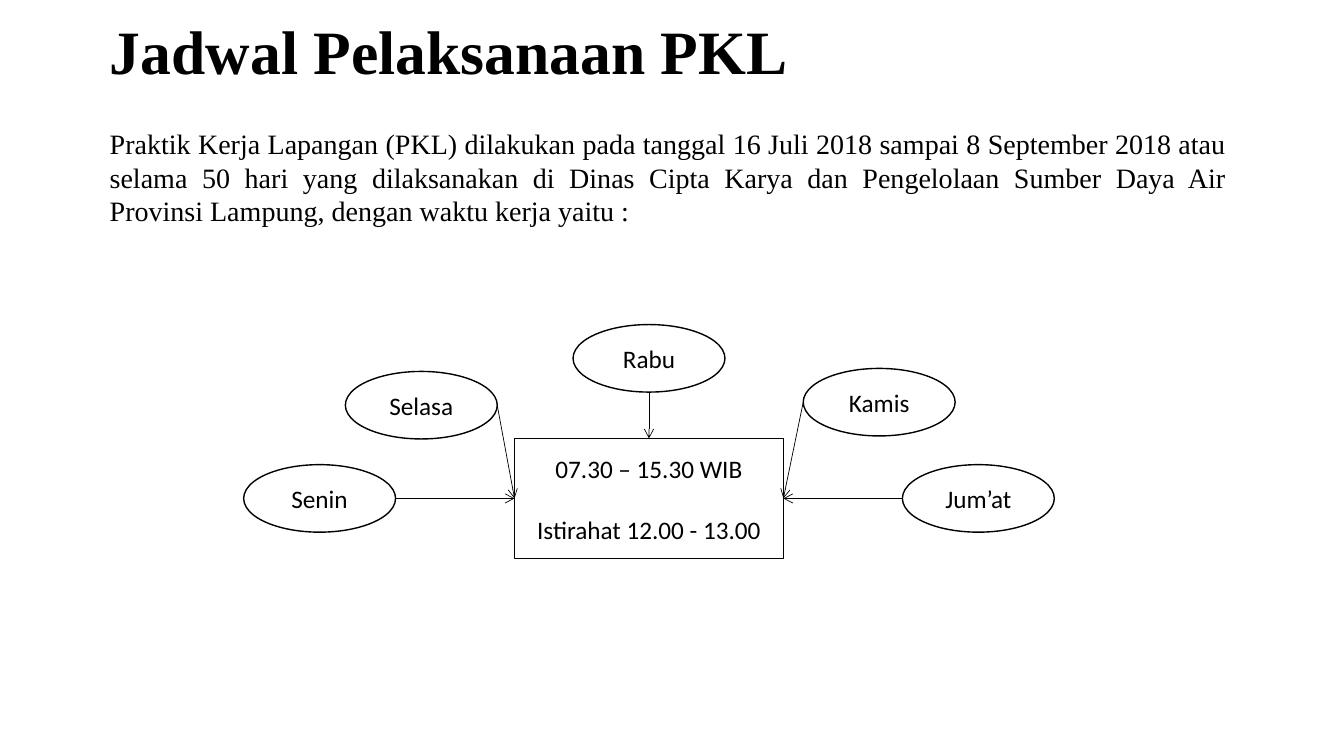
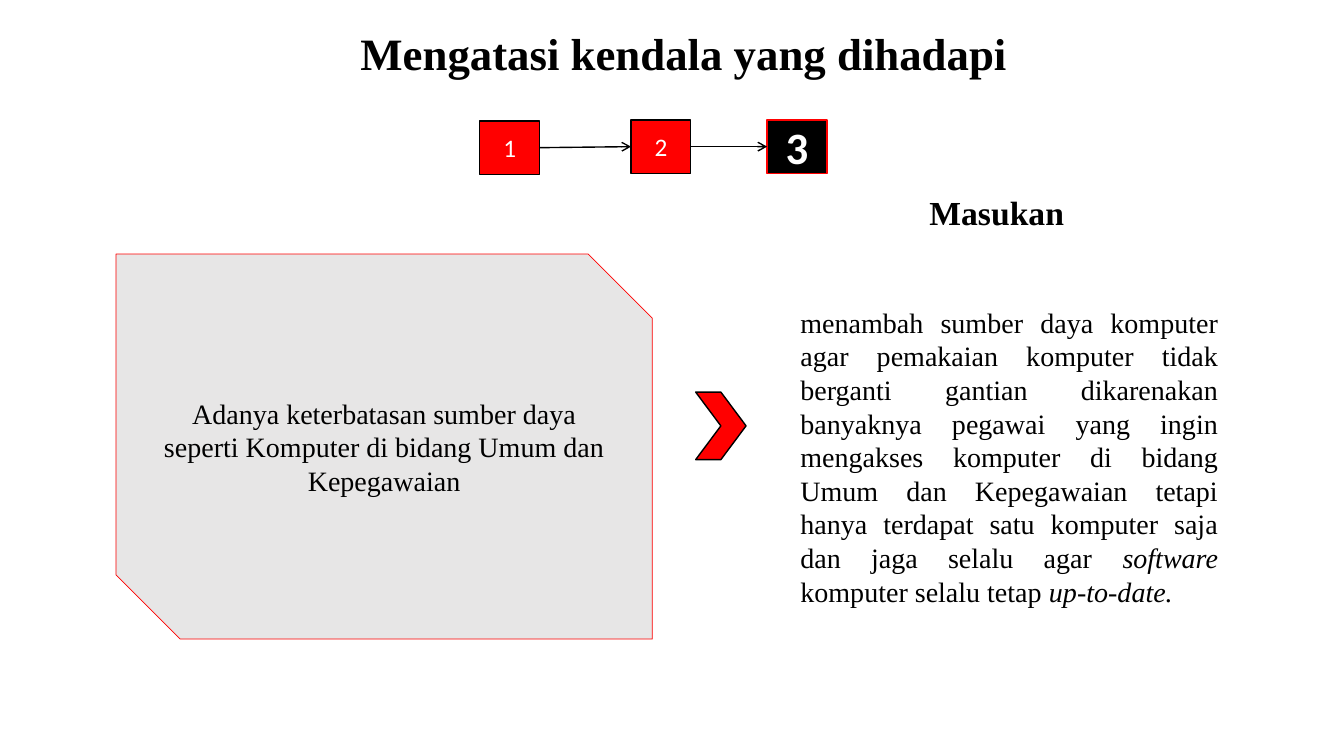
from lxml import etree
from pptx import Presentation
from pptx.dml.color import RGBColor
from pptx.enum.shapes import MSO_CONNECTOR, MSO_SHAPE
from pptx.enum.text import MSO_ANCHOR, MSO_AUTO_SIZE, PP_ALIGN
from pptx.oxml.ns import qn
from pptx.util import Inches, Pt

LEFT, CENTER, JUSTIFY = PP_ALIGN.LEFT, PP_ALIGN.CENTER, PP_ALIGN.JUSTIFY
TOP, MIDDLE, BOTTOM = MSO_ANCHOR.TOP, MSO_ANCHOR.MIDDLE, MSO_ANCHOR.BOTTOM
RECTANGLE, ELLIPSE = MSO_SHAPE.RECTANGLE, MSO_SHAPE.OVAL
PANEL, CHEVRON = MSO_SHAPE.SNIP_2_DIAG_RECTANGLE, MSO_SHAPE.CHEVRON
ROUNDED = MSO_SHAPE.FLOWCHART_ALTERNATE_PROCESS
STRAIGHT = MSO_CONNECTOR.STRAIGHT
NO_AUTOFIT = MSO_AUTO_SIZE.NONE
TITLE_ONLY = 5
SIDE_TOP, SIDE_LEFT, SIDE_RIGHT = 0, 1, 3

SERIF, SANS = "Times New Roman", "Calibri"
BLACK, WHITE, RED, GREY = "000000", "FFFFFF", "FF0000", "E7E6E6"

# Grid of 80 columns and 45 rows with square cells
COLUMNS, ROWS = 80, 45
SLIDE_WIDTH, SLIDE_HEIGHT = Inches(13.33), Inches(7.5)
CELL = SLIDE_HEIGHT / ROWS


def cells(*counts):
    return [round(count * CELL) for count in counts]


def color(value):
    return RGBColor.from_string(value)


class SlideBuilder:
    """Holds the shared style and the slide being built."""

    def __init__(self):
        self.deck = Presentation()
        self.deck.slide_width, self.deck.slide_height = SLIDE_WIDTH, SLIDE_HEIGHT
        self.slide = None

    def start(self, title, area, size, align=LEFT):
        """Adds a slide with a white band behind its title."""
        self.slide = self.deck.slides.add_slide(self.deck.slide_layouts[TITLE_ONLY])
        heading = self.slide.shapes.title
        heading.left, heading.top, heading.width, heading.height = cells(*area)
        self.fill_text(heading, [title], size, SERIF, align=align, anchor=BOTTOM, bold=True)
        heading.text_frame.paragraphs[0].line_spacing = 0.9
        band = self.shape(RECTANGLE, (0, 0, COLUMNS, 6), WHITE)
        heading.element.addprevious(band.element)

    def fill_text(self, box, lines, size, font, ink=BLACK, align=CENTER,
                  anchor=MIDDLE, bold=False, gap=0):
        """Sets one paragraph a line; text between asterisks is italic."""
        frame = box.text_frame
        frame.word_wrap = True
        frame.auto_size = NO_AUTOFIT
        frame.vertical_anchor = anchor
        for index, line in enumerate(lines):
            para = frame.add_paragraph() if index else frame.paragraphs[0]
            para.alignment = align
            para.space_before = Pt(gap if index else 0)
            for number, part in enumerate(line.split("*")):
                if not part:
                    continue
                span = para.add_run()
                span.text = part
                span.font.name, span.font.size = font, Pt(size)
                span.font.bold, span.font.italic = bold, number % 2 == 1
                span.font.color.rgb = color(ink)

    def shape(self, kind, area, fill, line=None, weight=1):
        shape = self.slide.shapes.add_shape(kind, *cells(*area))
        shape.shadow.inherit = False
        shape.fill.solid()
        shape.fill.fore_color.rgb = color(fill)
        if line:
            shape.line.color.rgb = color(line)
            shape.line.width = Pt(weight)
        else:
            shape.line.fill.background()
        return shape

    def text(self, area, line, size, **style):
        box = self.slide.shapes.add_textbox(*cells(*area))
        self.fill_text(box, [line], size, SERIF, anchor=TOP, **style)

    def arrow(self, start, target, side, weight, source=None):
        """Draws an arrow from a point, or a source's right side, to a target."""
        link = self.slide.shapes.add_connector(STRAIGHT, *cells(*start, *start))
        if source is not None:
            link.begin_connect(source, SIDE_RIGHT)
        link.end_connect(target, side)
        link.line.color.rgb = color(BLACK)
        link.line.width = Pt(weight)
        properties = link.element.spPr
        etree.SubElement(properties.find(qn("a:ln")), qn("a:tailEnd"), type="arrow")
        etree.SubElement(properties, qn("a:effectLst"))


def build_schedule(builder):
    builder.start("Jadwal Pelaksanaan PKL", (5.94, 0.96, 58, 4.56), 44)

    # Introduction
    intro = builder.shape(ROUNDED, (2.58, 6.96, 71.34, 7.14), WHITE)
    builder.fill_text(intro, [
        "Praktik Kerja Lapangan (PKL) dilakukan pada tanggal 16 Juli 2018 sampai "
        "8 September 2018 atau selama 50 hari yang dilaksanakan di Dinas Cipta Karya "
        "dan Pengelolaan Sumber Daya Air Provinsi Lampung, dengan waktu kerja yaitu :"
    ], 20, SERIF, align=JUSTIFY)
    intro.text_frame.margin_left = Inches(0.6)

    # Working hours
    middle = 38.62
    hours = builder.shape(RECTANGLE, (middle - 8, 26.1, 16, 7.14), WHITE, BLACK)
    builder.fill_text(hours, ["07.30 – 15.30 WIB", "Istirahat 12.00 - 13.00"],
                      18, SANS, gap=22)

    # Days around the hours: offset from the middle, and height of the centre
    width, height = 9.04, 4.02
    days = [("Senin", -19.6, 29.67), ("Selasa", -13.55, 24.12), ("Rabu", 0, 21.33),
            ("Kamis", 13.7, 23.94), ("Jum’at", 19.6, 29.67)]
    for day, offset, center_y in days:
        center_x = middle + offset
        area = (center_x - width / 2, center_y - height / 2, width, height)
        oval = builder.shape(ELLIPSE, area, WHITE, BLACK)
        builder.fill_text(oval, [day], 18, SANS)
        if offset < 0:
            start, side = (center_x + width / 2, center_y), SIDE_LEFT
        elif offset > 0:
            start, side = (center_x - width / 2, center_y), SIDE_RIGHT
        else:
            start, side = (center_x, center_y + height / 2), SIDE_TOP
        builder.arrow(start, hours, side, 0.5)


def build_solution(builder):
    builder.start("Mengatasi kendala yang dihadapi", (8.7, 0.54, 64, 4.56), 32, CENTER)

    # Numbered steps, the current one in black
    previous = None
    steps = [("1", 28.55, 7.2), ("2", 37.55, 7.14), ("3", 45.65, 7.14)]
    for number, left, top in steps:
        current = number == "3"
        fill, line = (BLACK, RED) if current else (RED, BLACK)
        step = builder.shape(RECTANGLE, (left, top, 3.56, 3.18), fill, line)
        builder.fill_text(step, [number], 32 if current else 18, SANS, WHITE, bold=current)
        if previous is not None:
            builder.arrow((left, top), step, SIDE_LEFT, 1, previous)
        previous = step

    # Problem
    problem = builder.shape(PANEL, (6.9, 15.12, 31.92, 22.92), GREY, RED, 0.5)
    builder.fill_text(problem, ["Adanya keterbatasan sumber daya seperti Komputer "
                                "di bidang Umum dan Kepegawaian"], 20, SERIF)

    # Advice
    builder.text((47.04, 17.88, 26.04, 18.78),
                 "menambah sumber daya komputer agar pemakaian komputer tidak berganti "
                 "gantian dikarenakan banyaknya pegawai yang ingin mengakses komputer di "
                 "bidang Umum dan Kepegawaian tetapi hanya terdapat satu komputer saja dan "
                 "jaga selalu agar *software *komputer selalu tetap *up-to-date.*",
                 20, align=JUSTIFY)
    builder.shape(CHEVRON, (41.4, 23.34, 3, 4.02), RED, BLACK)
    builder.text((54.72, 11.1, 10.32, 3), "Masukan", 24, align=LEFT, bold=True)


def main():
    builder = SlideBuilder()
    build_schedule(builder)
    build_solution(builder)
    builder.deck.save("out.pptx")


if __name__ == "__main__":
    main()
